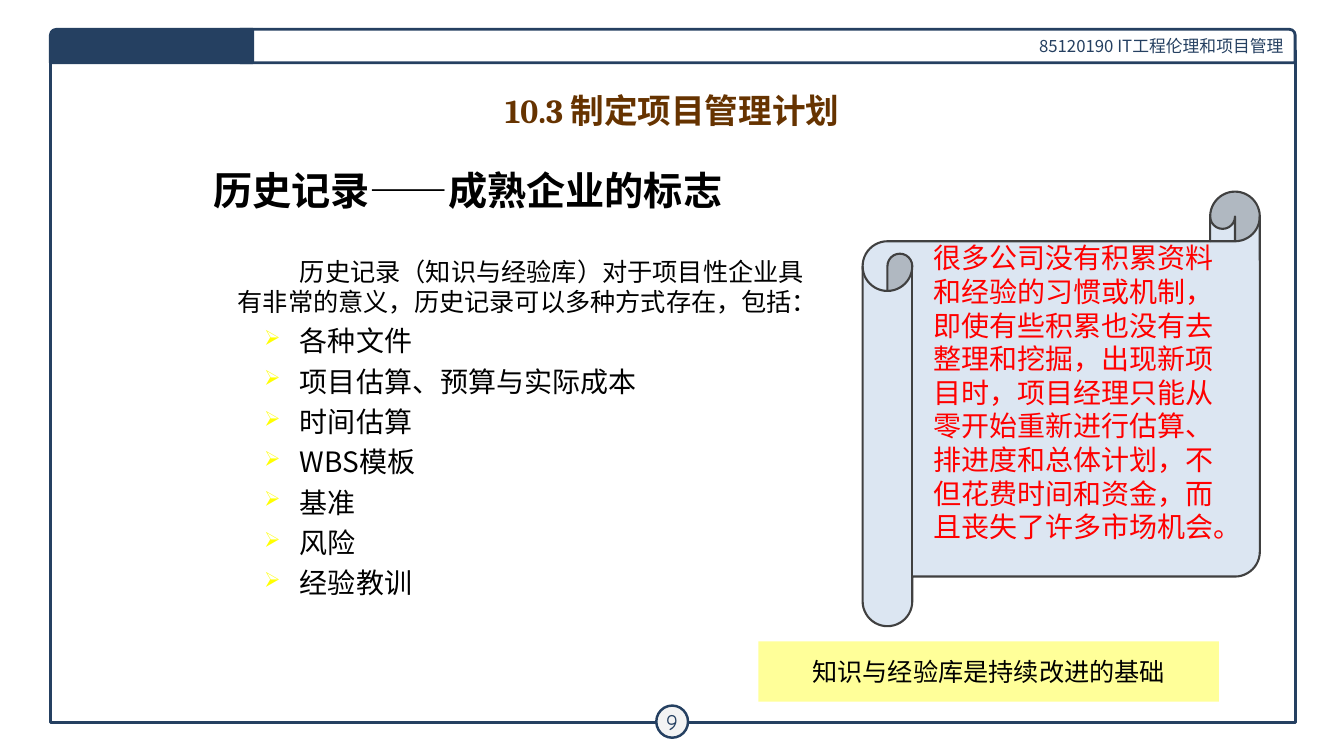
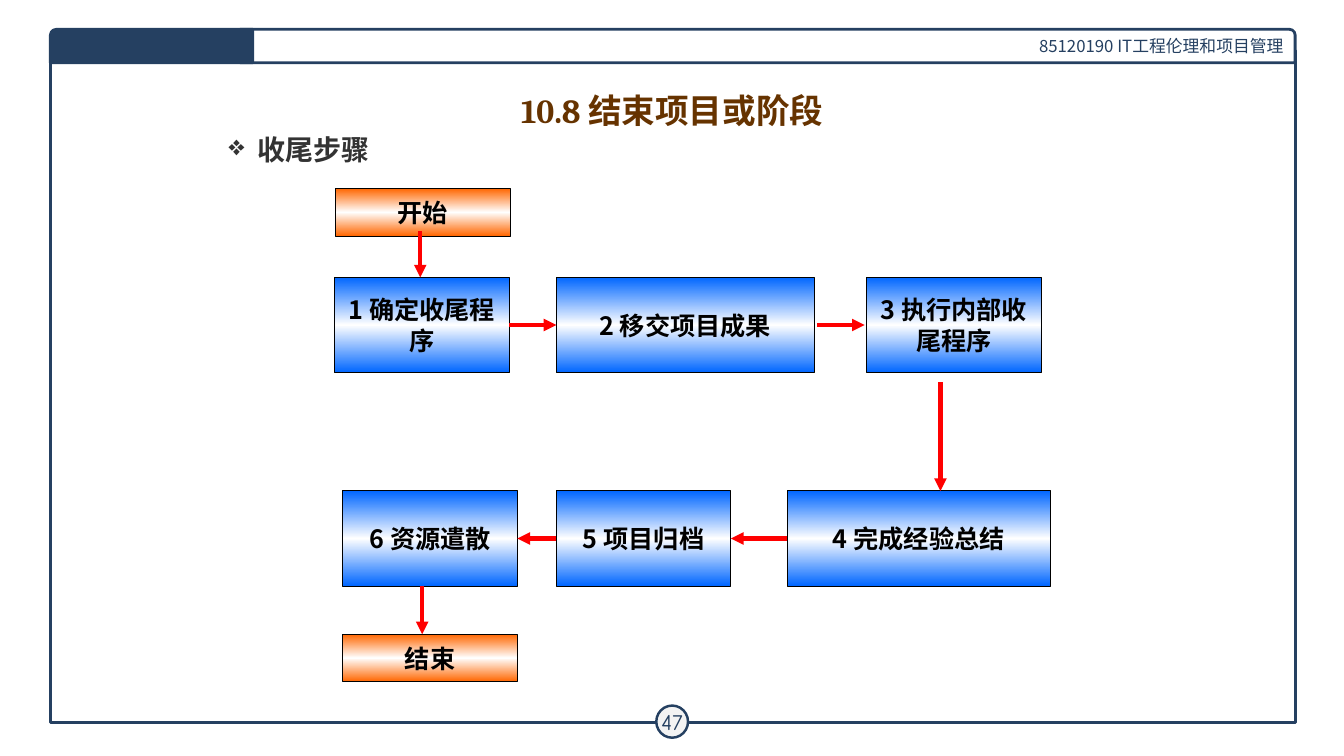
from collections import namedtuple
from copy import deepcopy

from lxml.etree import SubElement
from pptx import Presentation
from pptx.dml.color import RGBColor
from pptx.enum.shapes import MSO_CONNECTOR, MSO_SHAPE
from pptx.enum.text import MSO_ANCHOR, PP_ALIGN
from pptx.oxml.ns import qn
from pptx.util import Cm, Pt

Box = namedtuple("Box", "left top width height")

SANS = "Noto Sans CJK SC"
NAVY, WHITE, BLACK, RED = "254061", "FFFFFF", "000000", "FF0000"
BLUE, ORANGE = "0066FF", "FF6600"
BROWN, CHARCOAL, YELLOW = "663300", "333333", "FFFF00"

PAGE = Box(0, 0, 33.87, 19.05)
TITLE = Box(1.7, 2.13, 30.48, 1.22)
COURSE = "85120190 IT工程伦理和项目管理"


def colour(code):
    return RGBColor.from_string(code)


def apply(target, values):
    for name, value in values.items():
        setattr(target, name, value)


def within(box, left, top, width, height):
    return Box(box.left + left, box.top + top, width, height)


def lengths(box):
    return [Cm(value) for value in box]


def style_font(font, size, code, face, bold=False):
    apply(font, {"size": Pt(size), "name": face, "bold": bold})
    font.color.rgb = colour(code)


def add_run(paragraph, text, size, code, face=SANS, bold=False):
    run = paragraph.add_run()
    run.text = text
    style_font(run.font, size, code, face, bold)
    SubElement(run.font._element, qn("a:ea")).set("typeface", SANS)


def add_bullet(paragraph, symbol, margin, hanging, code=None, percent=None):
    properties = paragraph._p.get_or_add_pPr()
    properties.set("marL", str(Cm(margin)))
    properties.set("indent", str(-Cm(hanging)))
    if code:
        tint = SubElement(properties, qn("a:buClr"))
        SubElement(tint, qn("a:srgbClr")).set("val", code)
    if percent:
        SubElement(properties, qn("a:buSzPct")).set("val", str(percent * 1000))
    SubElement(properties, qn("a:buChar")).set("char", symbol)


def add_panel(slide, box, fill=None, line=None, weight=0.75, preset=MSO_SHAPE.RECTANGLE):
    panel = slide.shapes.add_shape(preset, *lengths(box))
    panel.shadow.inherit = False
    if fill:
        panel.fill.solid()
        panel.fill.fore_color.rgb = colour(fill)
    else:
        panel.fill.background()
    if line:
        panel.line.color.rgb = colour(line)
        panel.line.width = Pt(weight)
    else:
        panel.line.fill.background()
    return panel


def label(panel, text, size, code, face=SANS, bold=False, align=PP_ALIGN.CENTER, **frame_values):
    frame = panel.text_frame
    apply(frame, {"word_wrap": True, "vertical_anchor": MSO_ANCHOR.MIDDLE, **frame_values})
    paragraph = frame.paragraphs[0]
    paragraph.alignment = align
    add_run(paragraph, text, size, code, face, bold)


def add_text(slide, box):
    frame = slide.shapes.add_textbox(*lengths(box)).text_frame
    frame.word_wrap = True
    return frame


def add_title(slide, text):
    paragraph = add_text(slide, TITLE).paragraphs[0]
    paragraph.alignment = PP_ALIGN.CENTER
    add_run(paragraph, text, 24, BROWN, "Cambria", True)


def add_frame(slide, number, page):
    add_panel(slide, within(page, 1.27, 1.27, 31.37, 16.94), line=NAVY, weight=2)
    course = add_panel(slide, within(page, 6.05, 0.74, 26.59, 0.84), WHITE, NAVY, 2,
                       MSO_SHAPE.ROUND_1_RECTANGLE)
    label(course, COURSE, 12, NAVY, align=PP_ALIGN.RIGHT)
    badge = add_panel(slide, within(page, 16.54, 17.78, 0.8, 0.81), "F3F3F3", NAVY, 1.75,
                      MSO_SHAPE.OVAL)
    margins = {f"margin_{side}": Cm(0.1) for side in ("left", "right", "top", "bottom")}
    label(badge, str(number), 16, NAVY, "Comic Neue", **{**margins, "word_wrap": False})
    tab = add_panel(slide, within(page, 1.27, 0.74, 5.1, 0.84), NAVY, NAVY, 2,
                    MSO_SHAPE.ROUND_1_RECTANGLE)
    tab.adjustments[0] = 0.18
    tab._element.spPr.find(qn("a:xfrm")).set("flipH", "1")


def new_slide(deck, number, title):
    slide = deck.slides.add_slide(deck.slide_layouts[6])
    add_frame(slide, number, PAGE)
    add_title(slide, title)
    return slide


def add_records(slide, box):
    heading = add_text(slide, within(box, 0, 0, 22.86, 1.45)).paragraphs[0]
    for text, face in (("历史记录", "Cambria"), ("——", "Times New Roman"),
                       ("成熟企业的标志", "Cambria")):
        add_run(heading, text, 28, BLACK, face, True)

    body = add_text(slide, within(box, 0.61, 2.28, 15.6, 8.9))
    opening = body.paragraphs[0]
    opening._p.get_or_add_pPr().set("indent", str(Cm(1.57)))
    add_run(opening, "历史记录（知识与经验库）对于项目性企业具", 18, BLACK)
    add_run(body.add_paragraph(), "有非常的意义，历史记录可以多种方式存在，包括：", 18, BLACK)
    for kind in ("各种文件", "项目估算、预算与实际成本", "时间估算", "WBS模板",
                 "基准", "风险", "经验教训"):
        paragraph = body.add_paragraph()
        paragraph.line_spacing = 1.2
        add_bullet(paragraph, "➢", 1.57, 0.9, YELLOW, 75)
        add_run(paragraph, kind, 20, BLACK)


def add_warning(slide, box):
    scroll = add_panel(slide, within(box, 2.54, 0, 10.01, 10.95), "DCE6F2", "404040", 1.5,
                       MSO_SHAPE.HORIZONTAL_SCROLL)
    label(scroll, "很多公司没有积累资料和经验的习惯或机制，即使有些积累也没有去整理和挖掘，"
          "出现新项目时，项目经理只能从零开始重新进行估算、排进度和总体计划，"
          "不但花费时间和资金，而且丧失了许多市场机会。",
          20, RED, "Calibri", margin_bottom=Cm(0.97))
    conclusion = add_panel(slide, within(box, -0.09, 11.33, 11.61, 1.52), "FFFF99")
    label(conclusion, "知识与经验库是持续改进的基础", 18, BLACK, "Calibri")


def add_step(slide, box, text, edge):
    step = add_panel(slide, box, line=BLACK)
    step.fill.gradient()
    stops = step._element.spPr.find(".//" + qn("a:gsLst"))
    stops.append(deepcopy(stops[0]))
    for stop, code, position in zip(step.fill.gradient_stops, (edge, WHITE, edge), (0, 0.5, 1)):
        stop.color.rgb = colour(code)
        stop.position = position
    step.fill.gradient_angle = 90
    label(step, text, 18, BLACK, bold=True)


def add_arrow(slide, box, start, end):
    points = [Cm(origin + offset) for point in (start, end)
              for origin, offset in zip(box[:2], point)]
    arrow = slide.shapes.add_connector(MSO_CONNECTOR.STRAIGHT, *points)
    arrow.line.color.rgb = colour(RED)
    arrow.line.width = Pt(3)
    SubElement(arrow.line._get_or_add_ln(), qn("a:tailEnd")).set("type", "triangle")
    SubElement(arrow._element.spPr, qn("a:effectLst"))


def add_closing_flow(slide, box):
    narrow, tall, short = 4.4, 2.4, 1.2
    upper, lower, last = 2.24, 7.62, 11.23
    steps = (
        ("开始", 0.03, 0, narrow, short, ORANGE),
        ("1 确定收尾程序", 0, upper, narrow, tall, BLUE),
        ("2 移交项目成果", 5.59, upper, 6.5, tall, BLUE),
        ("3 执行内部收尾程序", 13.41, upper, narrow, tall, BLUE),
        ("4 完成经验总结", 11.41, lower, 6.63, tall, BLUE),
        ("5 项目归档", 5.59, lower, narrow, tall, BLUE),
        ("6 资源遣散", 0.21, lower, narrow, tall, BLUE),
        ("结束", 0.21, last, narrow, short, ORANGE),
    )
    for text, left, top, width, height, edge in steps:
        add_step(slide, within(box, left, top, width, height), text, edge)

    upper_middle, lower_middle = upper + tall / 2, lower + tall / 2
    arrows = (
        ((2.16, 1.08), (2.16, upper)),
        ((narrow, upper_middle), (5.59, upper_middle)),
        ((12.17, upper_middle), (13.36, upper_middle)),
        ((15.27, 4.88), (15.27, lower)),
        ((11.41, lower_middle), (9.99, lower_middle)),
        ((5.59, lower_middle), (4.61, lower_middle)),
        ((2.21, lower + tall), (2.21, last)),
    )
    for start, end in arrows:
        add_arrow(slide, box, start, end)


def add_topic(slide, box):
    paragraph = add_text(slide, box).paragraphs[0]
    paragraph.line_spacing = 1.5
    add_bullet(paragraph, "❖", 0.74, 0.74)
    add_run(paragraph, "收尾步骤", 20, CHARCOAL, "Cambria", True)


def build_records_slide(deck):
    slide = new_slide(deck, 9, "10.3 制定项目管理计划")
    add_records(slide, Box(5.13, 4.06, 16.5, 11.5))
    add_warning(slide, Box(19.2, 4.83, 12.55, 12.85))


def build_closing_slide(deck):
    slide = new_slide(deck, 47, "10.8 结束项目或阶段")
    add_topic(slide, Box(5.51, 2.79, 22.86, 2.29))
    add_closing_flow(slide, Box(8.43, 4.75, 18.04, 12.43))


def main():
    deck = Presentation()
    apply(deck, {"slide_width": Cm(PAGE.width), "slide_height": Cm(PAGE.height)})
    build_records_slide(deck)
    build_closing_slide(deck)
    deck.save("out.pptx")


if __name__ == "__main__":
    main()
